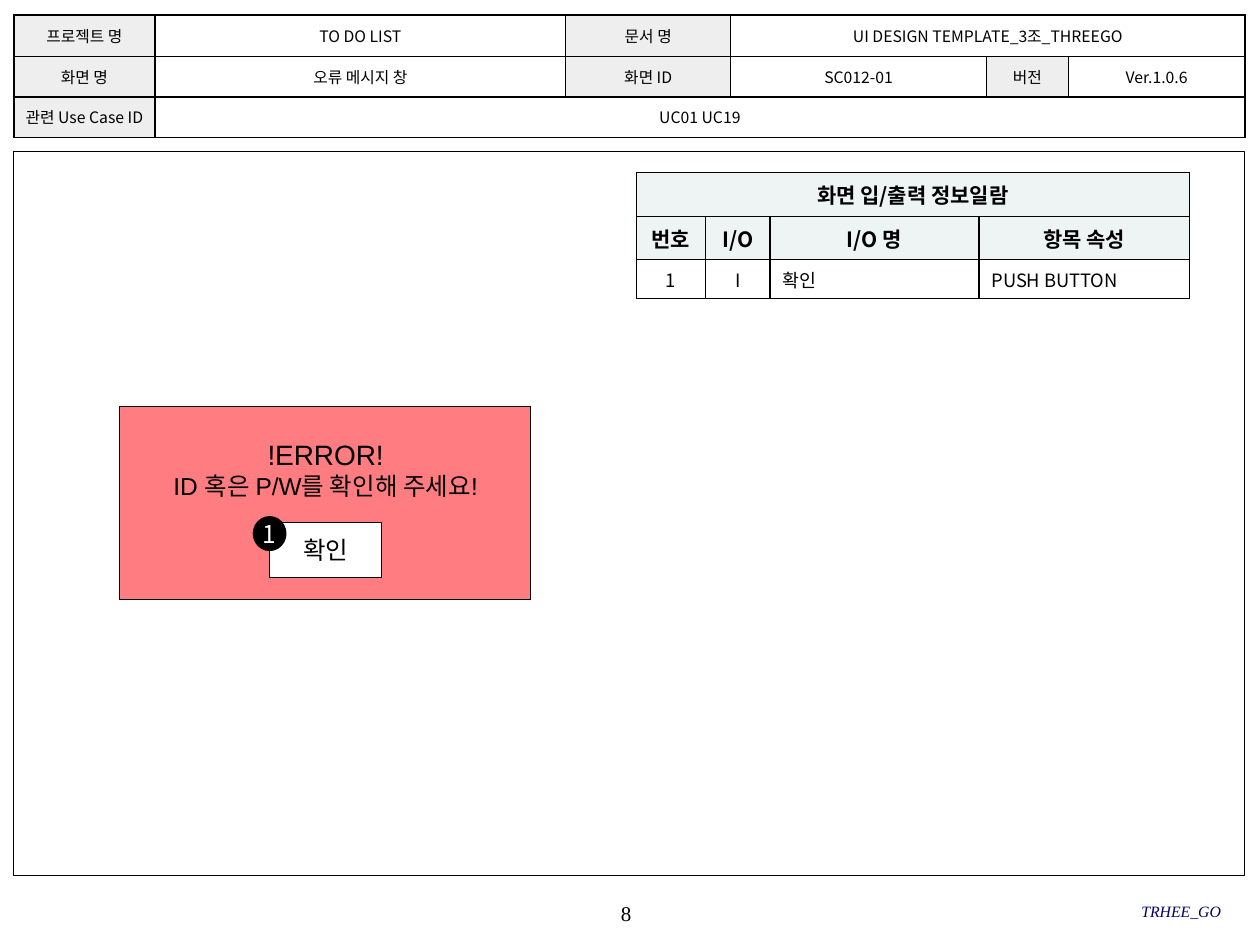
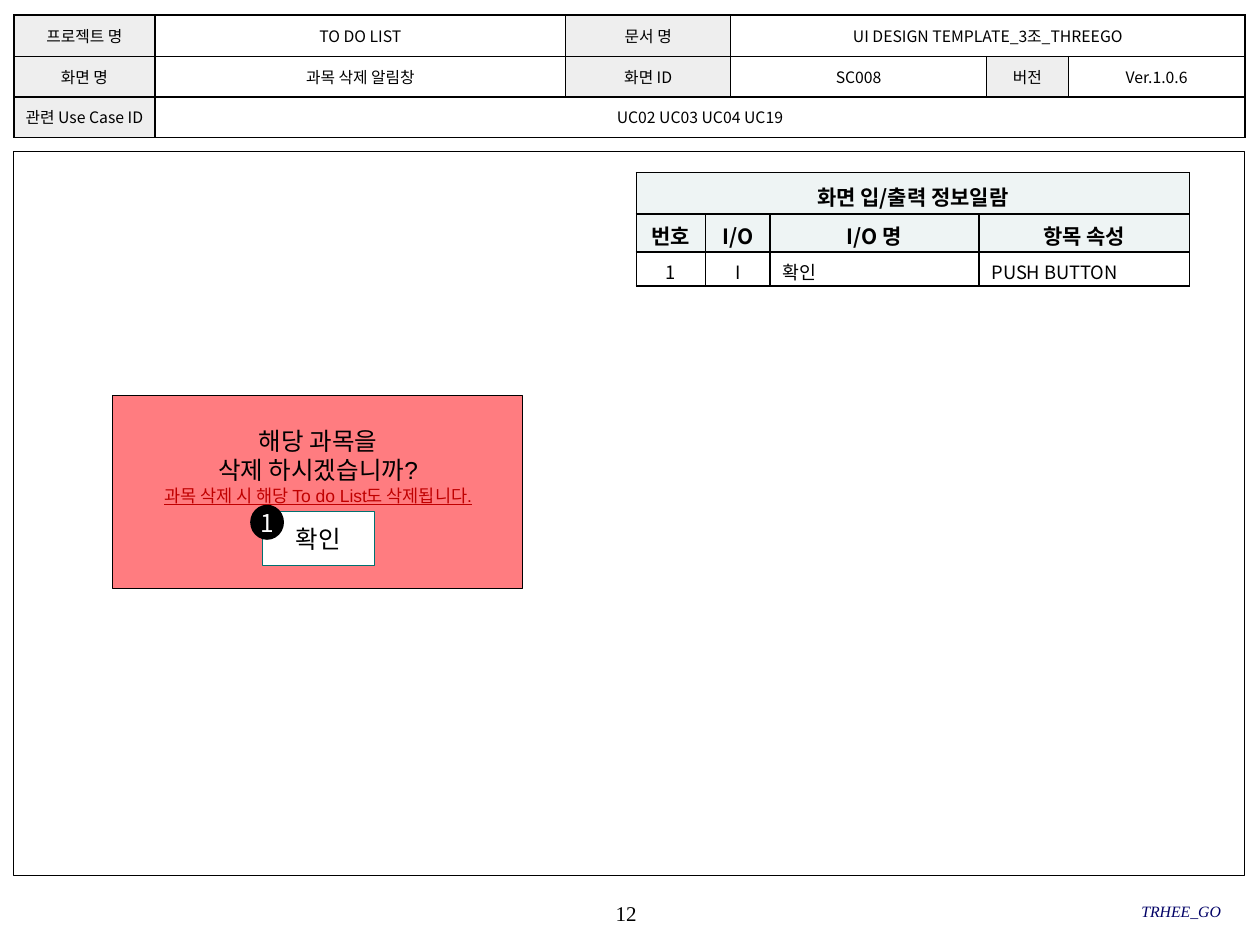
from lxml import etree
from pptx import Presentation
from pptx.dml.color import RGBColor
from pptx.enum.shapes import MSO_SHAPE
from pptx.enum.text import MSO_ANCHOR, PP_ALIGN
from pptx.oxml.ns import qn
from pptx.util import Inches, Pt

RECTANGLE, OVAL = MSO_SHAPE.RECTANGLE, MSO_SHAPE.OVAL
LEFT, CENTER, RIGHT = PP_ALIGN.LEFT, PP_ALIGN.CENTER, PP_ALIGN.RIGHT
TOP, MIDDLE = MSO_ANCHOR.TOP, MSO_ANCHOR.MIDDLE

SANS, LATIN, SERIF = "Noto Sans CJK KR", "Arial", "Times New Roman"
BLACK, WHITE, NAVY = "000000", "FFFFFF", "000066"
LABEL_GRAY, HEADING_TINT = "EEEEEE", "EEF4F4"
ALERT_RED, WARNING_RED, TEAL = "FF7C80", "C00000", "007171"

FRAME_LEFT, FRAME_WIDTH = 0.11, 9.77
INFO_WIDTHS = [1.12, 3.26, 1.31, 2.03, 0.65, 1.4]
IO_WIDTHS = [0.55, 0.51, 1.66, 1.67]
BUTTON_LABEL = "확인"

SCREENS = [
    {
        "number": "8", "name": "오류 메시지 창", "id": "SC012-01",
        "use_cases": "UC01 UC19",
        "io_heights": [0.35, 0.34, 0.31], "io_bottom": 0.05,
        "dialog": (0.95, 3.23), "message_height": 0.61,
        "badge": (2.02, 4.11), "button_line": BLACK,
        "message": [("!ERROR!", {"size": 16}),
                    ("ID 혹은 P/W를 확인해 주세요!", {"size": 14})],
    },
    {
        "number": "12", "name": "과목 삭제 알림창", "id": "SC008",
        "use_cases": "UC02 UC03 UC04 UC19",
        "io_heights": [0.33, 0.3, 0.27], "io_bottom": 0.01,
        "dialog": (0.89, 3.14), "message_height": 0.74,
        "badge": (2, 4.02), "button_line": TEAL,
        "message": [("해당 과목을", {"size": 14}),
                    ("삭제 하시겠습니까?", {"size": 14}),
                    ("과목 삭제 시 해당 To do List도 삭제됩니다.",
                     {"size": 10, "color": WARNING_RED, "underline": True})],
    },
]


def rgb(color):
    return RGBColor.from_string(color)


def style_paragraph(para, size, font=SANS, color=BLACK, align=CENTER,
                    bold=False, italic=False, underline=False):
    para.alignment = align
    for span in para.runs:
        span.font.size = Pt(size)
        span.font.name = font
        span.font.bold = bold
        span.font.italic = italic
        span.font.underline = underline
        span.font.color.rgb = rgb(color)
        east_asian = etree.SubElement(span.font._element, qn("a:ea"))
        east_asian.set("typeface", SANS)


def set_margins(target, horizontal, top, bottom):
    target.margin_left = target.margin_right = Inches(horizontal)
    target.margin_top, target.margin_bottom = Inches(top), Inches(bottom)


def add_box(shapes, kind, left, top, width, height, fill, line, line_width):
    box = shapes.add_shape(kind, Inches(left), Inches(top), Inches(width), Inches(height))
    box.shadow.inherit = False
    if fill:
        box.fill.solid()
        box.fill.fore_color.rgb = rgb(fill)
    else:
        box.fill.background()
    box.line.color.rgb = rgb(line)
    box.line.width = Pt(line_width)
    return box


def label_box(box, text, color=BLACK, wrap=True):
    frame = box.text_frame
    frame.text = text
    frame.word_wrap = wrap
    frame.vertical_anchor = MIDDLE
    style_paragraph(frame.paragraphs[0], 14, color=color)


def add_text(shapes, left, top, width, height, lines, anchor=TOP):
    box = shapes.add_textbox(Inches(left), Inches(top), Inches(width), Inches(height))
    frame = box.text_frame
    frame.word_wrap = True
    frame.vertical_anchor = anchor
    frame.text = "\n".join(text for text, style in lines)
    for para, (text, style) in zip(frame.paragraphs, lines):
        style_paragraph(para, **style)
    return box


def add_footer_text(page, left, top, width, text, **style):
    box = add_text(page.shapes, left, top, width, 0.33,
                   [(text, {"font": SERIF, **style})], MIDDLE)
    set_margins(box.text_frame, 0, 0, 0)


def add_grid(page, left, top, widths, heights):
    grid = page.shapes.add_table(len(heights), len(widths), Inches(left), Inches(top),
                                 Inches(sum(widths)), Inches(sum(heights))).table
    grid.first_row = grid.horz_banding = False
    for column, width in zip(grid.columns, widths):
        column.width = Inches(width)
    for row, height in zip(grid.rows, heights):
        row.height = Inches(height)
    for cell in grid.iter_cells():
        add_borders(cell)
    return grid


def add_borders(cell):
    properties = cell._tc.get_or_add_tcPr()
    for side in ("a:lnL", "a:lnR", "a:lnT", "a:lnB"):
        border = etree.SubElement(properties, qn(side), w=str(Pt(1)))
        fill = etree.SubElement(border, qn("a:solidFill"))
        etree.SubElement(fill, qn("a:srgbClr"), val=BLACK)


def fill_cell(cell, text, fill, margins, **style):
    cell.text = text
    cell.vertical_anchor = MIDDLE
    set_margins(cell, *margins)
    cell.fill.solid()
    cell.fill.fore_color.rgb = rgb(fill)
    style_paragraph(cell.text_frame.paragraphs[0], **style)


def add_screen_info(page, screen):
    grid = add_grid(page, FRAME_LEFT, 0.12, INFO_WIDTHS, [0.33, 0.32, 0.32])
    grid.cell(0, 3).merge(grid.cell(0, 5))
    grid.cell(2, 1).merge(grid.cell(2, 5))
    rows = [
        ["프로젝트 명", "TO DO LIST", "문서 명", "UI DESIGN TEMPLATE_3조_THREEGO"],
        ["화면 명", screen["name"], "화면 ID", screen["id"], "버전", "Ver.1.0.6"],
        ["관련 Use Case ID", screen["use_cases"]],
    ]
    for r, texts in enumerate(rows):
        for c, text in enumerate(texts):
            fill = LABEL_GRAY if c % 2 == 0 else WHITE
            fill_cell(grid.cell(r, c), text, fill, (0.04, 0.02, 0.02), size=9)


def add_io_list(page, screen):
    grid = add_grid(page, 5.05, 1.37, IO_WIDTHS, screen["io_heights"])
    grid.cell(0, 0).merge(grid.cell(0, 3))
    rows = [
        ["화면 입/출력 정보일람"],
        ["번호", "I/O", "I/O 명", "항목 속성"],
        ["1", "I", BUTTON_LABEL, "PUSH BUTTON"],
    ]
    margins = (0.1, 0.05, screen["io_bottom"])
    for r, texts in enumerate(rows):
        heading = r < 2
        for c, text in enumerate(texts):
            fill_cell(grid.cell(r, c), text, HEADING_TINT if heading else WHITE, margins,
                      size=12 if heading else 10.5, bold=heading,
                      align=CENTER if heading or c < 2 else LEFT)


def add_dialog(page, screen):
    left, top = screen["dialog"]
    dialog = page.shapes.add_group_shape().shapes
    add_box(dialog, RECTANGLE, left, top, 3.26, 1.53, ALERT_RED, BLACK, 0.5)
    button = add_box(dialog, RECTANGLE, left + 1.19, top + 0.92, 0.89, 0.43,
                     WHITE, screen["button_line"], 0.5)
    label_box(button, BUTTON_LABEL)
    message = [(text, {"font": LATIN, **style}) for text, style in screen["message"]]
    add_text(dialog, left + 0.16, top + 0.19, 2.95, screen["message_height"], message)


def add_badge(page, screen):
    badge = add_box(page.shapes, OVAL, *screen["badge"], 0.24, 0.25, BLACK, BLACK, 2)
    label_box(badge, "1", WHITE, wrap=False)


def add_page_frame(page, number):
    add_box(page.shapes, RECTANGLE, FRAME_LEFT, 1.2, FRAME_WIDTH, 5.75, None, BLACK, 0.75)
    add_footer_text(page, 3.93, 7.08, 2.08, number, size=12)
    add_footer_text(page, 6.63, 7.07, 3.06, "TRHEE_GO", size=9, color=NAVY,
                    italic=True, align=RIGHT)


def main():
    deck = Presentation()
    deck.slide_width, deck.slide_height = Inches(10), Inches(7.5)
    blank = deck.slide_layouts.get_by_name("Blank")
    for screen in SCREENS:
        page = deck.slides.add_slide(blank)
        add_page_frame(page, screen["number"])
        add_io_list(page, screen)
        add_dialog(page, screen)
        add_badge(page, screen)
        add_screen_info(page, screen)
    deck.save("out.pptx")


if __name__ == "__main__":
    main()
